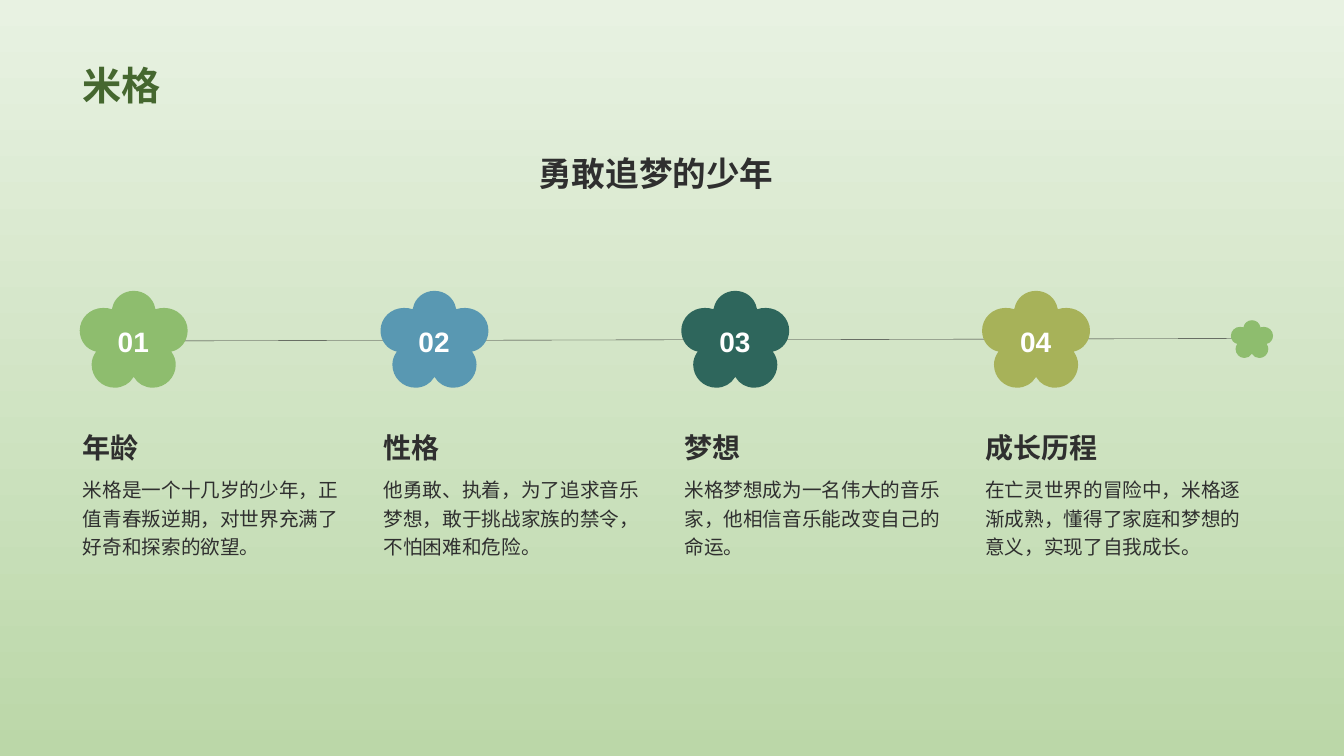
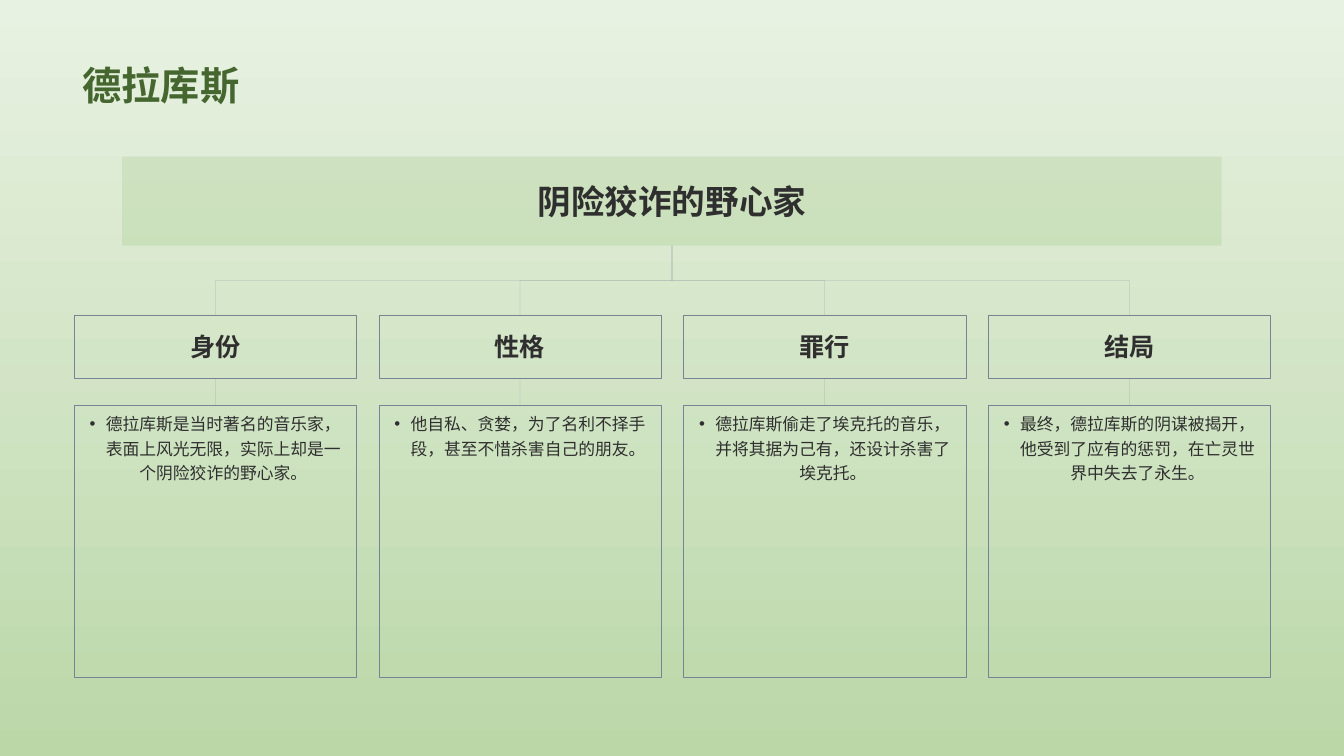
from dataclasses import dataclass
from itertools import chain

from lxml import etree
from pptx import Presentation
from pptx.dml.color import RGBColor
from pptx.enum.shapes import MSO_CONNECTOR, MSO_SHAPE
from pptx.enum.text import MSO_ANCHOR, MSO_AUTO_SIZE, PP_ALIGN
from pptx.oxml.ns import qn
from pptx.util import Cm, Pt

RECTANGLE, ELLIPSE = MSO_SHAPE.RECTANGLE, MSO_SHAPE.OVAL
ROUNDED = MSO_SHAPE.ROUNDED_RECTANGLE
STRAIGHT, ELBOW = MSO_CONNECTOR.STRAIGHT, MSO_CONNECTOR.ELBOW
TOP, MIDDLE, BOTTOM = MSO_ANCHOR.TOP, MSO_ANCHOR.MIDDLE, MSO_ANCHOR.BOTTOM
LEFT, CENTER = PP_ALIGN.LEFT, PP_ALIGN.CENTER

FONT = "Arial"
INK, WHITE, TITLE_GREEN, SLATE = "2F2F2F", "FFFFFF", "45672F", "778495"
LEAF, BLUE, TEAL, OLIVE = "8EBD6E", "5998B2", "2E665C", "A7B259"
BACKGROUND_STOPS = ("BBD7A8", "E8F2E2")
HAIRLINE = 0.25
TOP_SITE, BOTTOM_SITE = 0, 2

# Right half of the flower in cm, from its top point downwards:
# one point is a straight segment, three points are a curve
FLOWER_TOP = (0, 0)
FLOWER_HALF = (
    ((0.27, 0), (0.49, 0.18), (0.54, 0.43)),
    ((0.55, 0.46),),
    ((0.56, 0.46),),
    ((0.62, 0.44), (0.69, 0.43), (0.77, 0.43)),
    ((1.1, 0.43), (1.36, 0.69), (1.36, 1)),
    ((1.36, 1.26), (1.19, 1.48), (0.95, 1.53)),
    ((0.95, 1.54),),
    ((0.96, 1.55),),
    ((1.02, 1.64), (1.06, 1.74), (1.06, 1.86)),
    ((1.06, 2.18), (0.8, 2.44), (0.48, 2.44)),
    ((0.28, 2.44), (0.1, 2.34), (0.01, 2.18)),
    ((0, 2.17),),
)


@dataclass(frozen=True)
class Box:
    """A rectangle in cm."""
    left: float
    top: float
    width: float
    height: float

    def emu(self):
        return Cm(self.left), Cm(self.top), Cm(self.width), Cm(self.height)


@dataclass(frozen=True)
class TextStyle:
    size: float
    color: str = INK
    bold: bool = True
    align: PP_ALIGN = LEFT
    anchor: MSO_ANCHOR = TOP
    spacing: float = 1.0
    bullet: bool = False
    wrap: bool = True


@dataclass(frozen=True)
class Milestone:
    number: str
    color: str
    heading: str
    detail: str


@dataclass(frozen=True)
class Branch:
    heading: str
    detail: str


TITLE = TextStyle(28, TITLE_GREEN, anchor=BOTTOM)
SUBTITLE = TextStyle(24, align=CENTER)
BANNER = TextStyle(24, align=CENTER, anchor=MIDDLE)
NUMBER = TextStyle(20, WHITE, align=CENTER, anchor=MIDDLE, wrap=False)
MILESTONE_HEADING = TextStyle(20, anchor=BOTTOM)
MILESTONE_DETAIL = TextStyle(14, bold=False, spacing=1.2)
BRANCH_HEADING = TextStyle(18, align=CENTER, anchor=MIDDLE)
BRANCH_DETAIL = TextStyle(12, bold=False, align=CENTER, spacing=1.2, bullet=True)

MILESTONES = (
    Milestone("01", LEAF, "年龄", "米格是一个十几岁的少年，正值青春叛逆期，对世界充满了好奇和探索的欲望。"),
    Milestone("02", BLUE, "性格", "他勇敢、执着，为了追求音乐梦想，敢于挑战家族的禁令，不怕困难和危险。"),
    Milestone("03", TEAL, "梦想", "米格梦想成为一名伟大的音乐家，他相信音乐能改变自己的命运。"),
    Milestone("04", OLIVE, "成长历程",
              "在亡灵世界的冒险中，米格逐渐成熟，懂得了家庭和梦想的意义，实现了自我成长。"),
)
BRANCHES = (
    Branch("身份", "德拉库斯是当时著名的音乐家，表面上风光无限，实际上却是一个阴险狡诈的野心家。"),
    Branch("性格", "他自私、贪婪，为了名利不择手段，甚至不惜杀害自己的朋友。"),
    Branch("罪行", "德拉库斯偷走了埃克托的音乐，并将其据为己有，还设计杀害了埃克托。"),
    Branch("结局", "最终，德拉库斯的阴谋被揭开，他受到了应有的惩罚，在亡灵世界中失去了永生。"),
)


def rgb(color: str) -> RGBColor:
    return RGBColor.from_string(color)


def set_opacity(shape, percent: int) -> None:
    for color in shape._element.spPr.iter(qn("a:srgbClr")):
        etree.SubElement(color, qn("a:alpha"), val=str(percent * 1000))


def add_bullet(paragraph) -> None:
    properties = paragraph._p.get_or_add_pPr()
    properties.set("marL", str(Cm(0.41)))
    properties.set("indent", str(-Cm(0.41)))
    etree.SubElement(properties, qn("a:buFont"), typeface=FONT)
    etree.SubElement(properties, qn("a:buChar"), char="•")


def write(shape, text: str, style: TextStyle) -> None:
    frame = shape.text_frame
    frame.word_wrap = style.wrap
    frame.auto_size = MSO_AUTO_SIZE.NONE
    frame.vertical_anchor = style.anchor
    paragraph = frame.paragraphs[0]
    if style.bullet:
        add_bullet(paragraph)
    paragraph.alignment = style.align
    paragraph.line_spacing = style.spacing
    run = paragraph.add_run()
    run.text = text
    run.font.name = FONT
    run.font.size = Pt(style.size)
    run.font.bold = style.bold
    run.font.color.rgb = rgb(style.color)


def add_text(slide, box: Box, text: str, style: TextStyle) -> None:
    write(slide.shapes.add_textbox(*box.emu()), text, style)


def paint(shape, fill: str = "", line: str = "") -> None:
    """Set fill and outline; an empty colour means none."""
    shape.shadow.inherit = False
    if fill:
        shape.fill.solid()
        shape.fill.fore_color.rgb = rgb(fill)
    else:
        shape.fill.background()
    if line:
        shape.line.color.rgb = rgb(line)
        shape.line.width = Pt(HAIRLINE)
    else:
        shape.line.fill.background()


def add_panel(slide, preset, box: Box, text: str, style: TextStyle,
              fill: str = "", line: str = ""):
    panel = slide.shapes.add_shape(preset, *box.emu())
    paint(panel, fill, line)
    write(panel, text, style)
    return panel


def add_line(slide, kind, start: tuple, end: tuple, color: str, opacity: int = 100):
    line = slide.shapes.add_connector(kind, *(Cm(value) for value in (*start, *end)))
    line.line.color.rgb = rgb(color)
    line.line.width = Pt(HAIRLINE)
    if opacity < 100:
        set_opacity(line, opacity)
    etree.SubElement(line._element.spPr, qn("a:effectLst"))
    return line


def add_drop(slide, start: tuple, end: tuple) -> None:
    """Draw an elbow that leaves downwards, crosses halfway and arrives downwards."""
    across, down = abs(end[0] - start[0]), end[1] - start[1]
    mid_x, mid_y = (start[0] + end[0]) / 2, (start[1] + end[1]) / 2
    elbow = add_line(slide, ELBOW, (mid_x - down / 2, mid_y - across / 2),
                     (mid_x + down / 2, mid_y + across / 2), SLATE, 50)
    frame = elbow._element.spPr.find(qn("a:xfrm"))
    goes_right = end[0] > start[0]
    frame.set("rot", str((270 if goes_right else 90) * 60000))
    if goes_right:
        frame.set("flipH", "1")


def flower_segments() -> list:
    """Return the whole outline: the right half, then its mirror image upwards."""
    starts = (FLOWER_TOP, *(segment[-1] for segment in FLOWER_HALF[:-1]))
    mirrored = [tuple((-x, y) for x, y in (*segment[-2::-1], start))
                for start, segment in zip(reversed(starts), reversed(FLOWER_HALF))]
    return [*FLOWER_HALF, *mirrored]


def bend(outline, segments: list) -> None:
    """Join each run of three straight steps that stands for a curve into a Bézier."""
    steps = iter(list(outline.iter(qn("a:lnTo"))))
    for segment in segments:
        group = [next(steps) for _ in segment]
        if len(group) == 3:
            curve = etree.Element(qn("a:cubicBezTo"))
            group[0].addprevious(curve)
            for step in group:
                curve.append(step[0])
                outline.remove(step)


def add_flower(slide, center_x: float, top: float, color: str, scale: float = 1.0) -> None:
    segments = flower_segments()
    points = [(Cm(center_x + x * scale), Cm(top + y * scale))
              for x, y in chain.from_iterable(segments)]
    builder = slide.shapes.build_freeform(Cm(center_x), Cm(top))
    builder.add_line_segments(points, close=True)
    flower = builder.convert_to_shape()
    bend(next(flower._element.iter(qn("a:path"))), segments)
    paint(flower, color)


def add_titled_slide(prs, layout, title: str):
    slide = prs.slides.add_slide(layout)
    write(slide.shapes.title, title, TITLE)
    return slide


def prepare_layout(prs):
    """Give the master its gradient and place the layout's title."""
    fill = prs.slide_master.background.fill
    fill.gradient()
    fill.gradient_angle = 90
    for stop, color in zip(fill.gradient_stops, BACKGROUND_STOPS):
        stop.color.rgb = rgb(color)
    layout = prs.slide_layouts.get_by_name("Title Only")
    heading = layout.placeholders[0]
    heading.left, heading.top, heading.width, heading.height = Box(1.83, 0.36, 30.18, 2.49).emu()
    return layout


def build_timeline(prs, layout) -> None:
    first_center, pitch = 3.37, 7.58
    text_left, text_width = 1.84, 6.96
    slide = add_titled_slide(prs, layout, "米格")
    add_line(slide, STRAIGHT, (4.57, 8.59), (31.57, 8.53), INK)
    add_text(slide, Box(2.52, 3.72, 28.02, 2.44), "勇敢追梦的少年", SUBTITLE)
    for index, milestone in enumerate(MILESTONES):
        add_flower(slide, first_center + index * pitch, 7.33, milestone.color)
    add_flower(slide, 31.55, 8.07, LEAF, 0.39)
    for index, milestone in enumerate(MILESTONES):
        left = text_left + index * pitch
        heading = add_panel(slide, ROUNDED, Box(left, 9.86, text_width, 1.95),
                            milestone.heading, MILESTONE_HEADING)
        heading.adjustments[0] = 0
        add_text(slide, Box(left, 11.81, text_width, 5.23), milestone.detail, MILESTONE_DETAIL)
        add_panel(slide, ELLIPSE, Box(left + 0.43, 7.55, 2.18, 2.08), milestone.number, NUMBER)


def build_tree(prs, layout) -> None:
    banner = Box(3.08, 3.95, 27.71, 2.24)
    first_left, pitch, width = 1.87, 7.68, 7.11
    heading_top = 7.95
    slide = add_titled_slide(prs, layout, "德拉库斯")
    root = add_panel(slide, RECTANGLE, banner, "阴险狡诈的野心家", BANNER, fill=LEAF)
    set_opacity(root, 20)
    trunk = (banner.left + banner.width / 2, banner.top + banner.height)
    for index, branch in enumerate(BRANCHES):
        left = first_left + index * pitch
        add_drop(slide, trunk, (left + width / 2, heading_top))
        heading = add_panel(slide, RECTANGLE, Box(left, heading_top, width, 1.58),
                            branch.heading, BRANCH_HEADING, line=SLATE)
        detail = add_panel(slide, RECTANGLE, Box(left, 10.21, width, 6.86),
                           branch.detail, BRANCH_DETAIL, line=SLATE)
        link = add_line(slide, STRAIGHT, (left, heading_top), (left, heading_top), SLATE, 50)
        link.begin_connect(heading, BOTTOM_SITE)
        link.end_connect(detail, TOP_SITE)


def main() -> None:
    prs = Presentation()
    prs.slide_width, prs.slide_height = Cm(33.87), Cm(19.05)
    layout = prepare_layout(prs)
    build_timeline(prs, layout)
    build_tree(prs, layout)
    prs.save("out.pptx")


if __name__ == "__main__":
    main()
